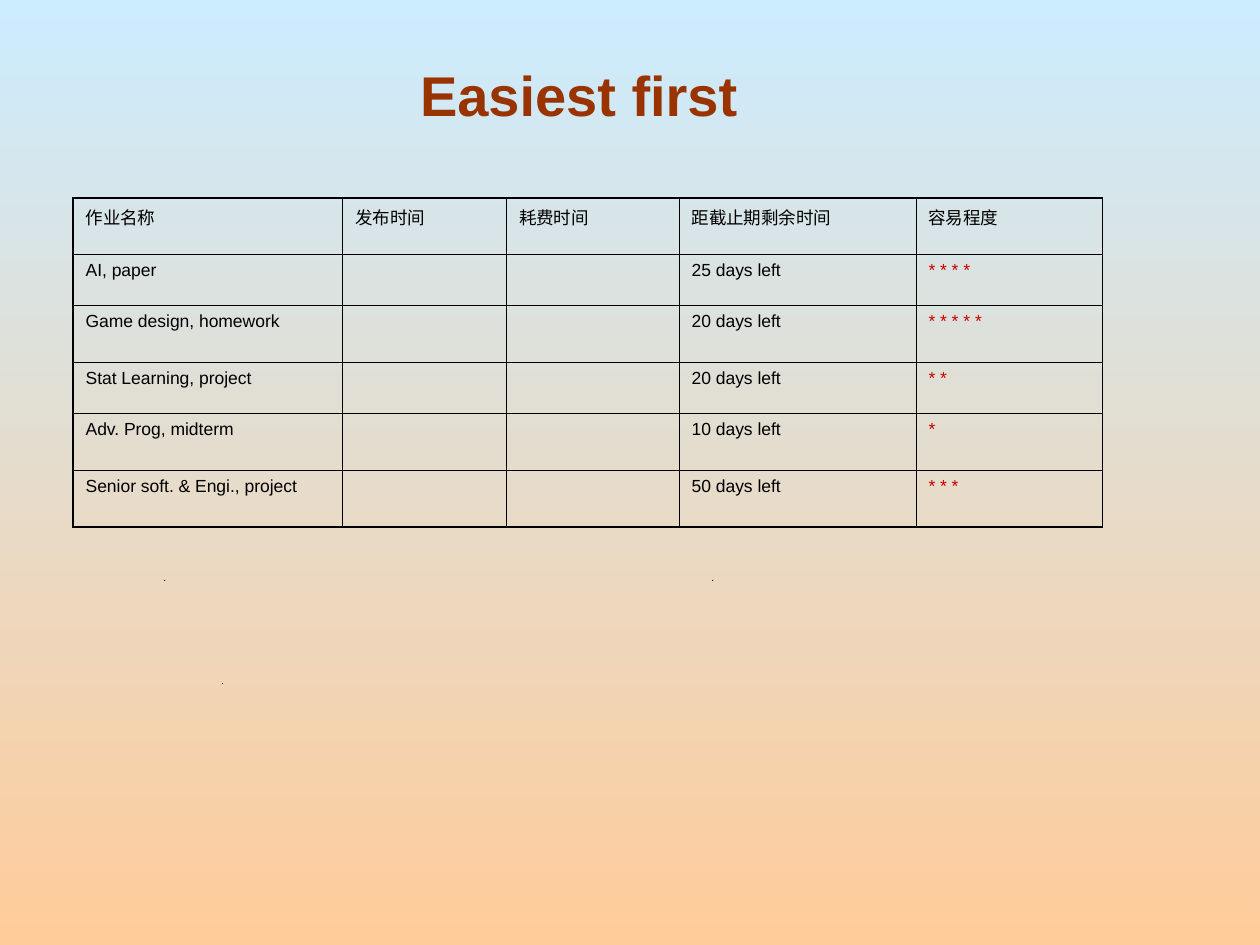
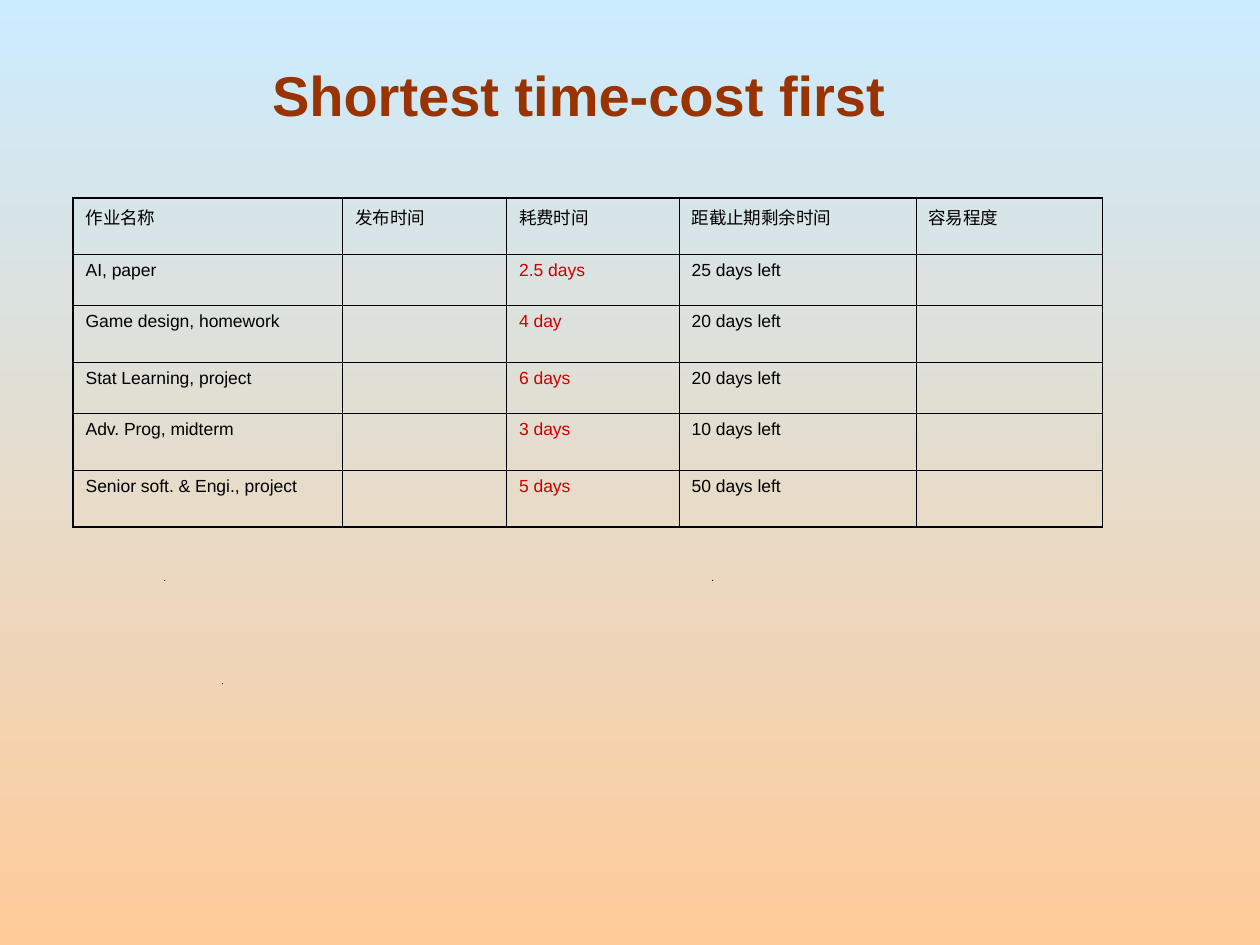
"""Build two homework-scheduling slides that share one task table."""
from lxml.etree import SubElement
from pptx import Presentation
from pptx.dml.color import RGBColor
from pptx.enum.text import MSO_ANCHOR as Anchor, PP_ALIGN as Align
from pptx.oxml.ns import qn
from pptx.util import Inches, Pt

HEADERS = ["作业名称", "发布时间", "耗费时间", "距截止期剩余时间", "容易程度"]
TASKS = [
    ("AI, paper", 25),
    ("Game design, homework", 20),
    ("Stat Learning, project", 20),
    ("Adv. Prog, midterm", 10),
    ("Senior soft. & Engi., project", 50),
]
NAME, COST, LEFT, EASE = 0, 2, 3, 4
COLUMN_WIDTHS = [2.14, 1.3, 1.37, 1.88, 1.48]
ROW_HEIGHTS = [0.45, 0.38, 0.45, 0.38, 0.45, 0.45]
SPECKS = [(176, 542), (130, 460), (565, 460)]
STRATEGIES = [
    ("Easiest first", EASE, ["* * * *", "* * * * *", "* *", "*", "* * *"]),
    ("Shortest time-cost first", COST,
     ["2.5 days", "4 day", "6 days", "3 days", "5 days"]),
]


def rgb(hex_code):
    return RGBColor.from_string(hex_code)


class Deck:
    INK, TITLE, ACCENT = "000000", "993300", "CC0000"
    SKY, SAND = "CCECFF", "FFCC99"
    TITLE_FONT = {"name": "Arial", "size": Pt(32), "bold": True}
    CELL_FONT = {"name": "Arial", "size": Pt(10), "bold": False}
    OUTER, INNER = Pt(1.08), Pt(0.45)

    def __init__(self):
        self.prs = Presentation()
        self.prs.slide_width, self.prs.slide_height = Inches(10), Inches(7.5)
        self.slide = None
        backdrop = self.prs.slide_master.background.fill
        backdrop.gradient()
        backdrop.gradient_angle = 270
        for stop, shade in zip(backdrop.gradient_stops, (self.SKY, self.SAND)):
            stop.color.rgb = rgb(shade)

    def add_text(self, frame, text, style, color, align=Align.LEFT):
        paragraph = frame.paragraphs[0]
        paragraph.alignment = align
        run = paragraph.add_run()
        run.text = text
        for attribute, value in style.items():
            setattr(run.font, attribute, value)
        run.font.color.rgb = rgb(color)

    def add_slide(self, heading):
        self.slide = self.prs.slides.add_slide(self.prs.slide_layouts[5])
        self.add_specks()
        title = self.slide.shapes.title
        place = {"left": 0.21, "top": 0.25, "width": 8.77, "height": 1}
        for side, length in place.items():
            setattr(title, side, Inches(length))
        title.text_frame.vertical_anchor = Anchor.MIDDLE
        self.add_text(title.text_frame, heading, self.TITLE_FONT, self.TITLE, Align.CENTER)

    def add_specks(self):
        for x, y in SPECKS:
            outline = self.slide.shapes.build_freeform(x, y + 1, scale=Inches(0.01))
            outline.add_line_segments([(x + 1, y), (x + 1, y + 1)], close=True)
            speck = outline.convert_to_shape()
            speck.shadow.inherit = False
            speck.fill.solid()
            speck.fill.fore_color.rgb = rgb(self.INK)
            speck.line.fill.background()

    def add_border(self, cell, side, width):
        line = SubElement(cell._tc.get_or_add_tcPr(), qn(f"a:ln{side}"), w=str(width))
        fill = SubElement(line, qn("a:solidFill"))
        SubElement(fill, qn("a:srgbClr"), val=self.INK)

    def add_table(self, rows, accent_column):
        last_row, last_column = len(rows) - 1, len(rows[0]) - 1
        table = self.slide.shapes.add_table(
            len(rows), len(rows[0]), Inches(0.58), Inches(1.57),
            Inches(sum(COLUMN_WIDTHS)), Inches(sum(ROW_HEIGHTS))).table
        table.first_row = table.horz_banding = False
        for column, width in zip(table.columns, COLUMN_WIDTHS):
            column.width = Inches(width)
        for row, height in zip(table.rows, ROW_HEIGHTS):
            row.height = Inches(height)
        for r, texts in enumerate(rows):
            for c, text in enumerate(texts):
                cell = table.cell(r, c)
                edges = {"L": c == 0, "R": c == last_column,
                         "T": r == 0, "B": r == last_row}
                for side, is_outer in edges.items():
                    self.add_border(cell, side, self.OUTER if is_outer else self.INNER)
                cell.fill.background()
                if text:
                    accented = r > 0 and c == accent_column
                    self.add_text(cell.text_frame, text, self.CELL_FONT,
                                  self.ACCENT if accented else self.INK)


def task_rows(ranking_column, rankings):
    rows = [HEADERS]
    for (name, days), ranking in zip(TASKS, rankings):
        row = [""] * len(HEADERS)
        row[NAME], row[LEFT], row[ranking_column] = name, f"{days} days left", ranking
        rows.append(row)
    return rows


def main():
    deck = Deck()
    for heading, ranking_column, rankings in STRATEGIES:
        deck.add_slide(heading)
        deck.add_table(task_rows(ranking_column, rankings), ranking_column)
    deck.prs.save("out.pptx")


if __name__ == "__main__":
    main()
